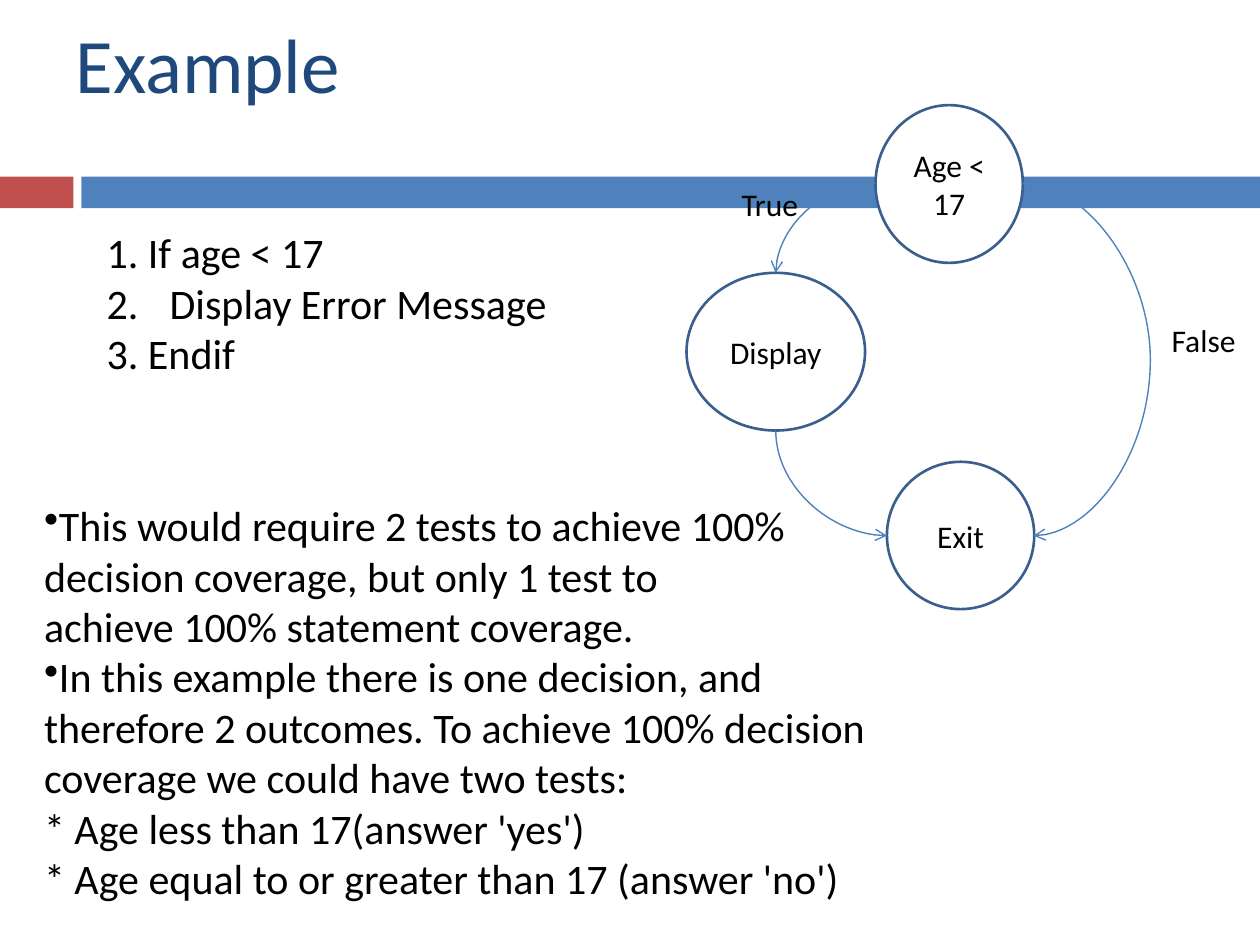
from lxml import etree
from pptx import Presentation
from pptx.dml.color import RGBColor
from pptx.enum import shapes, text
from pptx.oxml import ns
from pptx.util import Cm, Pt

RED = RGBColor(0xC0, 0x50, 0x4D)
BLUE = RGBColor(0x4F, 0x81, 0xBD)
NAVY = RGBColor(0x1F, 0x49, 0x7D)
EDGE = RGBColor(0x3A, 0x5F, 0x8C)
BLACK = RGBColor(0, 0, 0)
WHITE = RGBColor(0xFF, 0xFF, 0xFF)


def write(shape, lines, size=18, color=BLACK, align=text.PP_ALIGN.LEFT,
          anchor=text.MSO_ANCHOR.TOP, wrap=True, dots=()):
    frame = shape.text_frame
    frame.word_wrap = wrap
    frame.vertical_anchor = anchor
    for i, line in enumerate(lines):
        para = frame.paragraphs[0] if i == 0 else frame.add_paragraph()
        para.text = line
        para.alignment = align
        if i in dots:
            mark = etree.SubElement(para._p.get_or_add_pPr(), ns.qn("a:buChar"))
            mark.set("char", "•")
        para.font.name = "Calibri"
        para.font.size = Pt(size)
        para.font.color.rgb = color


deck = Presentation()
deck.slide_width, deck.slide_height = Cm(25.4), Cm(19.05)
slide = deck.slides.add_slide(deck.slide_layouts[5])
items = slide.shapes

title = items.title
title.left, title.top, title.width, title.height = Cm(1.27), Cm(0), Cm(22.86), Cm(2.54)
write(title, ["Example"], size=44, color=NAVY, anchor=text.MSO_ANCHOR.MIDDLE)

for left, width, color in [(0, 1.48, RED), (1.64, 23.76, BLUE)]:
    bar = items.add_shape(shapes.MSO_SHAPE.RECTANGLE, Cm(left), Cm(3.56), Cm(width), Cm(0.64))
    bar.shadow.inherit = False
    bar.fill.solid()
    bar.fill.fore_color.rgb = color
    bar.line.fill.background()

nodes = [
    ("Age < 17", 17.65, 2.12, 2.97, 3.18),
    ("Exit", 17.88, 9.31, 2.97, 2.97),
    ("Display", 13.84, 5.5, 3.6, 3.18),
]
for name, *box in nodes:
    node = items.add_shape(shapes.MSO_SHAPE.OVAL, *map(Cm, box))
    node.shadow.inherit = False
    node.fill.solid()
    node.fill.fore_color.rgb = WHITE
    node.line.color.rgb = EDGE
    node.line.width = Pt(1.5)
    write(node, [name], align=text.PP_ALIGN.CENTER, anchor=text.MSO_ANCHOR.MIDDLE)

bend = round((23.19 - 20.62) / (20.84 - 20.62) * 100000)
curves = [
    ((17.65, 3.7, 15.64, 5.5), "tailEnd", None),
    ((20.62, 3.7, 20.84, 10.8), "tailEnd", bend),
    ((17.88, 10.8, 15.64, 8.68), "headEnd", None),
]
for ends, tip, bulge in curves:
    curve = items.add_connector(shapes.MSO_CONNECTOR.CURVE, *map(Cm, ends))
    curve.line.color.rgb = BLUE
    curve.line.width = Pt(0.79)
    props = curve._element.spPr
    arrow = etree.SubElement(props.find(ns.qn("a:ln")), ns.qn("a:" + tip))
    arrow.set("type", "arrow")
    etree.SubElement(props, ns.qn("a:effectLst"))
    geom = props.find(ns.qn("a:prstGeom"))
    if bulge is None:
        geom.set("prst", "curvedConnector2")
    else:
        guide = etree.SubElement(geom.find(ns.qn("a:avLst")), ns.qn("a:gd"))
        guide.set("name", "adj1")
        guide.set("fmla", f"val {bulge}")

for name, *box in [("True", 14.7, 3.6, 1.68, 1.03), ("False", 23.37, 6.35, 1.8, 1.03)]:
    write(items.add_textbox(*map(Cm, box)), [name], wrap=False)

code = items.add_textbox(Cm(1.9), Cm(4.45), Cm(11.23), Cm(3.33))
write(code, ["1. If age < 17", "2.\tDisplay Error Message", "3. Endif"], size=24)

notes = [
    "This would require 2 tests to achieve 100% decision coverage, but only 1 test to",
    "achieve 100% statement coverage.",
    "In this example there is one decision, and therefore 2 outcomes. "
    "To achieve 100% decision coverage we could have two tests:\n"
    "* Age less than 17(answer 'yes')\n"
    "* Age equal to or greater than 17 (answer 'no')",
]
body = items.add_textbox(Cm(0.64), Cm(9.95), Cm(17.15), Cm(8.46))
write(body, notes, size=24, dots=(0, 2))

deck.save("out.pptx")
